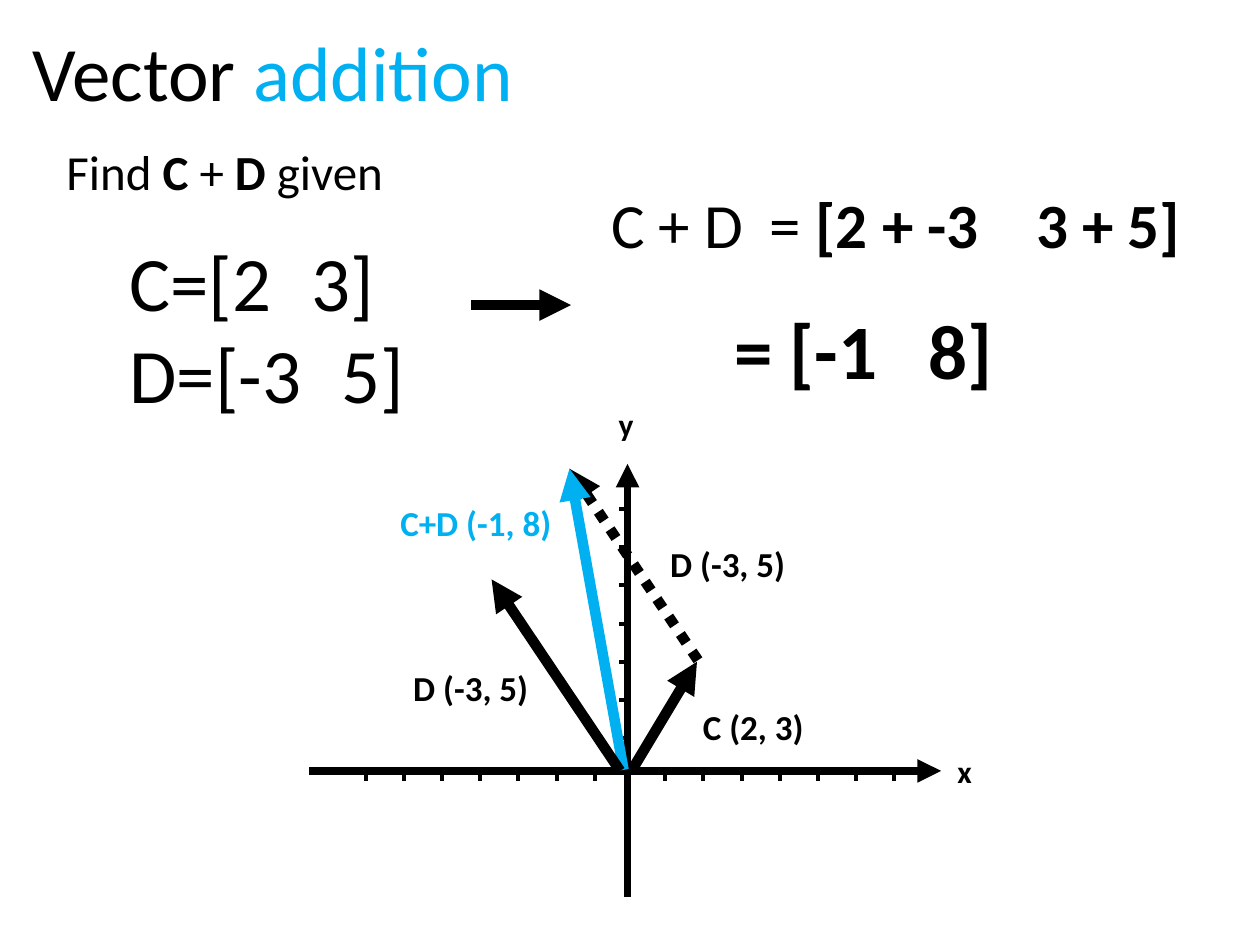
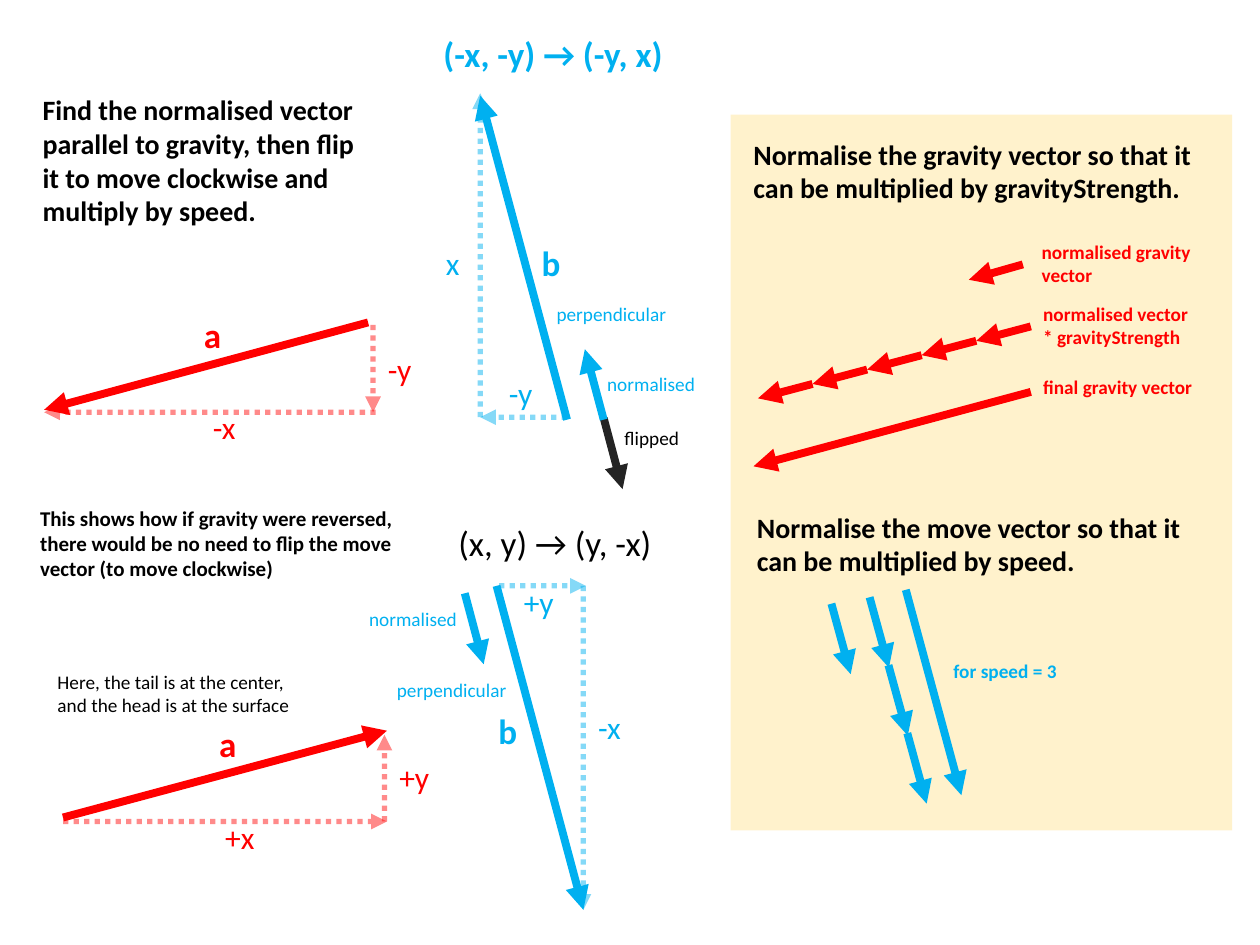
import pptx
import pptx.dml.color
import pptx.enum.dml
import pptx.enum.shapes
import pptx.enum.text
import pptx.oxml.ns
import pptx.util
from lxml import etree

Cm = pptx.util.Cm
Pt = pptx.util.Pt
RGBColor = pptx.dml.color.RGBColor
qn = pptx.oxml.ns.qn

FONT = "Calibri"
BLACK = RGBColor(0x00, 0x00, 0x00)
CHARCOAL = RGBColor(0x24, 0x24, 0x24)
BLUE = RGBColor(0x00, 0xB0, 0xF0)
RED = RGBColor(0xFF, 0x00, 0x00)
CREAM = RGBColor(0xFF, 0xF2, 0xCC)
LINE_HEIGHT = 0.043
PADDING = 0.25
TICK_GAP = 0.77
TICKS_PER_ARM = 7


def add_line(page, start, end, color, width, arrow=True, dotted=False, opacity=100):
    line = page.shapes.add_connector(
        pptx.enum.shapes.MSO_CONNECTOR.STRAIGHT,
        Cm(start[0]), Cm(start[1]), Cm(end[0]), Cm(end[1]))
    line.line.color.rgb = color
    line.line.width = Pt(width)
    if dotted:
        line.line.dash_style = pptx.enum.dml.MSO_LINE.ROUND_DOT
    properties = line.line._get_or_add_ln()
    if opacity < 100:
        tint = properties.find(".//" + qn("a:srgbClr"))
        etree.SubElement(tint, qn("a:alpha"), val=str(opacity * 1000))
    if arrow:
        etree.SubElement(properties, qn("a:tailEnd"), type="triangle")
    etree.SubElement(properties.getparent(), qn("a:effectLst"))


def add_component(page, start, end, color, opacity):
    add_line(page, start, end, color, 3, dotted=True, opacity=opacity)


def add_chain(page, start, step, reach, count, color):
    for index in range(count):
        x, y = start[0] + index * step[0], start[1] + index * step[1]
        add_line(page, (x, y), (x + reach[0], y + reach[1]), color, 4.5)


def add_box(page, left, top, width, height, wrap=True):
    box = page.shapes.add_textbox(Cm(left), Cm(top), Cm(width), Cm(height))
    box.text_frame.word_wrap = wrap
    box.text_frame.auto_size = pptx.enum.text.MSO_AUTO_SIZE.SHAPE_TO_FIT_TEXT
    return box.text_frame


def write(para, spans, size, color=BLACK, bold=False, tabs=(), space_before=0):
    if space_before:
        para.space_before = Pt(space_before)
    if tabs:
        stops = etree.SubElement(para._p.get_or_add_pPr(), qn("a:tabLst"))
        for position in tabs:
            etree.SubElement(stops, qn("a:tab"), pos=str(Cm(position)), algn="l")
    para.font.name = FONT
    para.font.size = Pt(size)
    para.font.color.rgb = color
    para.font.bold = bold
    for text, span_color, span_bold in spans:
        span = para.add_run()
        span.text = text
        if span_color is not None:
            span.font.color.rgb = span_color
        if span_bold:
            span.font.bold = True


def add_label(page, left, top, width, text, size, color=BLACK, bold=False, lines=1):
    height = lines * size * LINE_HEIGHT + PADDING
    frame = add_box(page, left, top, width, height, wrap=lines > 1)
    write(frame.paragraphs[0], [(text, None, False)], size, color, bold)


def add_ticks(page, first, offset, direction):
    for index in range(TICKS_PER_ARM):
        x = first[0] + index * TICK_GAP * direction[0]
        y = first[1] + index * TICK_GAP * direction[1]
        add_line(page, (x, y), (x + offset[0], y + offset[1]), BLACK, 2.25, arrow=False)


def add_calculation(page):
    given = add_box(page, 1.09, 2.72, 9.04, 5.89)
    write(given.paragraphs[0],
          [("Find ", None, False), ("C", None, True), (" + ", None, False),
           ("D ", None, True), ("given", None, False)], 28)
    write(given.add_paragraph(), [("\tC=[2\t3]", None, False)], 44,
          tabs=(1.27, 4.94), space_before=19.5)
    write(given.add_paragraph(), [("\tD=[-3\t5]", None, False)], 44, tabs=(1.27, 5.55))

    add_line(page, (9.5, 6.15), (11.51, 6.15), BLACK, 6)

    result = add_box(page, 12.07, 3.61, 12.6, 4.52)
    write(result.paragraphs[0],
          [("C + D\t= ", None, False), ("[2 + -3\t3 + 5]", None, True)], 36,
          tabs=(3.2, 8.57))
    write(result.add_paragraph(), [("\t= [-1\t8]", None, False)], 44, bold=True,
          tabs=(2.48, 6.39), space_before=24)


def add_graph(page):
    add_line(page, (12.65, 18.08), (12.65, 9.35), BLACK, 4.5)
    add_line(page, (12.57, 15.54), (18.97, 15.54), BLACK, 4.5)
    add_line(page, (12.62, 15.54), (6.22, 15.54), BLACK, 4.5, arrow=False)
    add_line(page, (12.73, 15.54), (14.05, 13.34), BLACK, 6)
    add_line(page, (14.07, 13.31), (11.48, 9.45), BLACK, 6, dotted=True)
    for first_x in (13.41, 7.37):
        add_ticks(page, (first_x, 15.62), (0, 0.13), (1, 0))
    add_ticks(page, (12.6, 10.26), (-0.13, 0), (0, 1))
    add_line(page, (12.57, 15.52), (11.48, 9.45), BLUE, 6)
    add_line(page, (12.5, 15.54), (9.91, 11.68), BLACK, 6)

    for left, top, width, text, size, color in (
            (12.22, 8.05, 0.81, "y", 18, BLACK),
            (19.05, 15.04, 0.81, "x", 18, BLACK),
            (7.82, 9.98, 3.58, "C+D (-1, 8)", 20, BLUE),
            (13.92, 14.1, 2.57, "C (2, 3)", 20, BLACK),
            (13.26, 10.82, 2.84, "D (-3, 5)", 20, BLACK),
            (8.08, 13.31, 2.84, "D (-3, 5)", 20, BLACK)):
        add_label(page, left, top, width, text, size, color, bold=True)


def build_addition(page):
    add_calculation(page)
    add_graph(page)
    title = add_box(page, 0.41, 0.38, 10.31, 2.13, wrap=False)
    write(title.paragraphs[0], [("Vector", None, False), (" addition", BLUE, False)], 44)


def add_rotations(page):
    for start, end in (((7.57, 8.31), (0.89, 8.31)),
                       ((7.52, 6.55), (7.52, 8.31)),
                       ((7.75, 16.56), (7.75, 14.81)),
                       ((1.27, 16.56), (7.8, 16.56))):
        add_component(page, start, end, RED, 45)
    for start, end in (((11.43, 8.41), (9.68, 8.41)),
                       ((9.68, 8.41), (9.68, 1.88)),
                       ((10.06, 11.81), (11.81, 11.81)),
                       ((11.76, 11.81), (11.76, 18.34))):
        add_component(page, start, end, BLUE, 48)
    for start, end, color in (((7.42, 6.5), (0.89, 8.26), RED),
                              ((1.27, 16.48), (7.8, 14.73), RED),
                              ((11.43, 8.46), (9.68, 1.93), BLUE),
                              ((10.01, 11.81), (11.76, 18.34), BLUE),
                              ((9.37, 11.96), (9.75, 13.39), BLUE),
                              ((12.17, 8.43), (12.55, 9.86), CHARCOAL),
                              ((12.17, 8.46), (11.79, 7.04), BLUE)):
        add_line(page, start, end, color, 4.5)

    for left, top, width, text, color in (
            (7.57, 6.93, 0.99, "-y", RED),
            (4.04, 8.1, 0.99, "-x", RED),
            (7.8, 15.16, 1.12, "+y", RED),
            (4.29, 16.36, 1.12, "+x", RED),
            (10.01, 7.42, 0.99, "-y", BLUE),
            (8.74, 4.8, 0.79, "x", BLUE),
            (10.31, 11.63, 1.12, "+y", BLUE),
            (11.81, 14.15, 0.99, "-x", BLUE)):
        add_label(page, left, top, width, text, 18, color)
    for left, top, width, text, color in (
            (3.86, 6.2, 0.86, "a", RED),
            (4.17, 14.45, 0.86, "a", RED),
            (10.67, 4.75, 0.89, "b", BLUE),
            (9.8, 14.17, 0.89, "b", BLUE),
            (8.69, 0.53, 5.05, "(-x, -y) → (-y, x)", BLUE)):
        add_label(page, left, top, width, text, 20, color, bold=True)
    add_label(page, 8.99, 10.39, 4.5, "(x, y) → (y, -x)", 20)
    for left, top, width, text, color in (
            (12.34, 8.46, 1.63, "flipped", BLACK),
            (7.19, 12.12, 2.29, "normalised", BLUE),
            (11.99, 7.37, 2.29, "normalised", BLUE),
            (10.97, 5.97, 2.74, "perpendicular", BLUE),
            (7.75, 13.54, 2.74, "perpendicular", BLUE)):
        add_label(page, left, top, width, text, 11, color)

    add_label(page, 0.61, 1.75, 7.24,
              "Find the normalised vector parallel to gravity, then flip it to move "
              "clockwise and multiply by speed.", 16, bold=True, lines=4)
    add_label(page, 0.56, 10.06, 7.65,
              "This shows how if gravity were reversed, there would be no need to flip "
              "the move vector (to move clockwise)", 12, bold=True, lines=3)
    add_label(page, 0.91, 13.39, 5.23,
              "Here, the tail is at the center, and the head is at the surface", 11, lines=2)


def add_scaling_panel(page):
    panel = page.shapes.add_shape(pptx.enum.shapes.MSO_SHAPE.RECTANGLE,
                                  Cm(14.73), Cm(2.31), Cm(10.11), Cm(14.43))
    panel.shadow.inherit = False
    panel.fill.solid()
    panel.fill.fore_color.rgb = CREAM
    panel.line.fill.background()

    add_line(page, (20.62, 5.33), (19.53, 5.64), RED, 4.5)
    add_chain(page, (20.78, 6.58), (-1.1, 0.29), (-1.1, 0.29), 5, RED)
    add_line(page, (20.78, 7.9), (15.19, 9.4), RED, 4.5)
    add_line(page, (16.76, 12.17), (17.15, 13.59), BLUE, 4.5)
    add_chain(page, (17.53, 12.04), (0.38, 1.37), (0.39, 1.42), 3, BLUE)
    add_line(page, (18.26, 11.89), (19.38, 16.03), BLUE, 4.5)

    for left, top, text in (
            (14.94, 2.64, "Normalise the gravity vector so that it can be multiplied "
                          "by gravityStrength."),
            (15.01, 10.16, "Normalise the move vector so that it can be multiplied by speed.")):
        add_label(page, left, top, 9.55, text, 16, bold=True, lines=2)
    for left, top, width, text, color, lines in (
            (20.75, 4.72, 3.56, "normalised gravity vector", RED, 2),
            (20.78, 5.97, 3.53, "normalised vector * gravityStrength", RED, 2),
            (20.78, 7.44, 3.56, "final gravity vector", RED, 1),
            (18.97, 13.16, 2.72, "for speed = 3", BLUE, 1)):
        add_label(page, left, top, width, text, 11, color, bold=True, lines=lines)


def build_gravity(page):
    add_rotations(page)
    add_scaling_panel(page)


def main():
    deck = pptx.Presentation()
    deck.slide_width, deck.slide_height = Cm(25.4), Cm(19.05)
    for build in (build_addition, build_gravity):
        build(deck.slides.add_slide(deck.slide_layouts[6]))
    deck.save("out.pptx")


if __name__ == "__main__":
    main()
